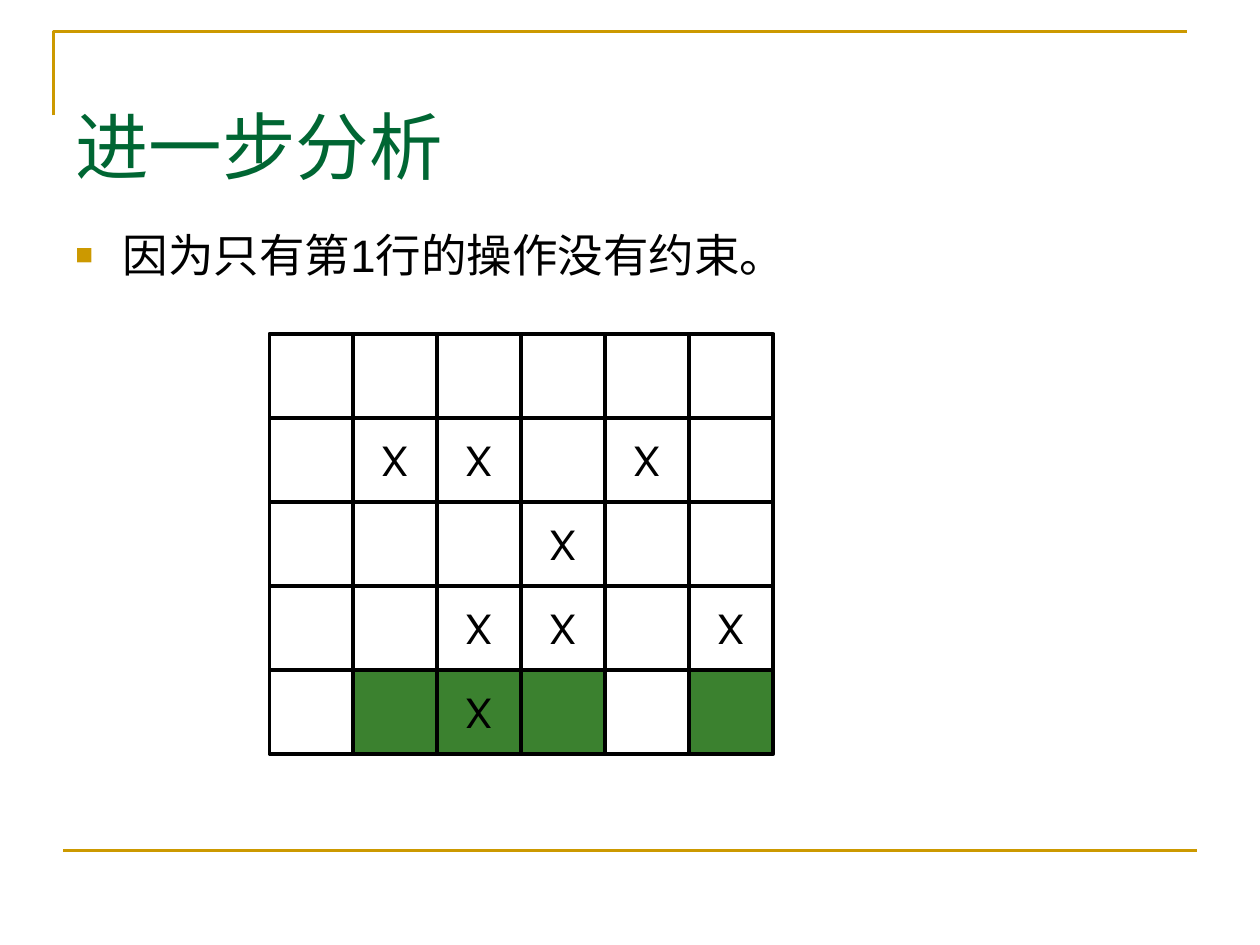
from dataclasses import dataclass

from lxml.etree import SubElement
from pptx import Presentation
from pptx.dml.color import RGBColor
from pptx.enum.shapes import MSO_CONNECTOR, MSO_SHAPE
from pptx.enum.text import MSO_ANCHOR, PP_ALIGN
from pptx.oxml.ns import qn
from pptx.util import Pt

TITLE = "进一步分析"
POINT = "因为只有第1行的操作没有约束。"
MARKS = ["......", ".XX.X.", "...X..", "..XX.X", "..X..."]
# w: white, g: green, dot: no fill
FILLS = ["...w.w", "......", "ww....", "..w.w.", "wgggwg"]


@dataclass(frozen=True)
class Theme:
    gold: str = "CC9900"
    head: str = "006633"
    ink: str = "000000"
    white: str = "FFFFFF"
    green: str = "3B812F"
    title_size: int = 42
    body_size: int = 26
    mark_size: int = 24
    rule: float = 1.5
    edge: float = 2.25


theme = Theme()
LEFT, TOP, SIDE = 154, 190.8, 48


def color(code):
    return RGBColor.from_string(code)


def stroke(item, code, width):
    item.line.color.rgb = color(code)
    item.line.width = Pt(width)


def write(shape, text, size, font, ink=theme.ink, anchor=MSO_ANCHOR.TOP,
          align=PP_ALIGN.LEFT, wrap=True, bullet=None, indent=27):
    frame = shape.text_frame
    frame.word_wrap = wrap
    frame.vertical_anchor = anchor
    para = frame.paragraphs[0]
    para.text = text
    para.alignment = align
    if bullet:
        props = para._p.get_or_add_pPr()
        props.set("marL", str(Pt(indent)))
        props.set("indent", str(-Pt(indent)))
        tint = SubElement(props, qn("a:buClr"))
        SubElement(tint, qn("a:srgbClr"), val=theme.gold)
        SubElement(props, qn("a:buSzPct"), val="65000")
        SubElement(props, qn("a:buFont"), typeface="Arial")
        SubElement(props, qn("a:buChar"), char=bullet)
    style = para.runs[0].font
    style.size = Pt(size)
    style.name = font
    style.color.rgb = color(ink)


def frame_page(shapes):
    """Draw the corner line at the top and the rule at the foot."""
    pen = shapes.build_freeform(Pt(30.5), Pt(66), scale=1.0)
    pen.add_line_segments([(Pt(30.5), Pt(18)), (Pt(678.5), Pt(18))], close=False)
    corner = pen.convert_to_shape()
    corner.fill.background()
    corner.shadow.inherit = False
    stroke(corner, theme.gold, theme.rule)
    foot = shapes.add_connector(
        MSO_CONNECTOR.STRAIGHT, Pt(36), Pt(486), Pt(684), Pt(486))
    stroke(foot, theme.gold, theme.rule)
    SubElement(foot._element.spPr, qn("a:effectLst"))


def draw_cell(shapes, row, col, mark, fill):
    cell = shapes.add_shape(
        MSO_SHAPE.RECTANGLE, Pt(LEFT + col * SIDE), Pt(TOP + row * SIDE),
        Pt(SIDE), Pt(SIDE))
    cell.shadow.inherit = False
    stroke(cell, theme.ink, theme.edge)
    if fill == ".":
        cell.fill.background()
    else:
        cell.fill.solid()
        cell.fill.fore_color.rgb = color(
            theme.green if fill == "g" else theme.white)
    if mark != ".":
        write(cell, mark, theme.mark_size, "Cabin", anchor=MSO_ANCHOR.MIDDLE,
              align=PP_ALIGN.CENTER, wrap=False)


def main():
    deck = Presentation()
    deck.slide_width, deck.slide_height = Pt(720), Pt(540)
    shapes = deck.slides.add_slide(deck.slide_layouts[6]).shapes
    frame_page(shapes)
    title = shapes.add_textbox(Pt(36), Pt(21.6), Pt(584), Pt(90))
    write(title, TITLE, theme.title_size, "Times New Roman", ink=theme.head,
          anchor=MSO_ANCHOR.BOTTOM)
    body = shapes.add_textbox(Pt(36), Pt(126), Pt(648), Pt(356.4))
    write(body, POINT, theme.body_size, "Arial", bullet="■")
    for row, (marks, fills) in enumerate(zip(MARKS, FILLS)):
        for col, (mark, fill) in enumerate(zip(marks, fills)):
            draw_cell(shapes, row, col, mark, fill)
    deck.save("out.pptx")


if __name__ == "__main__":
    main()
